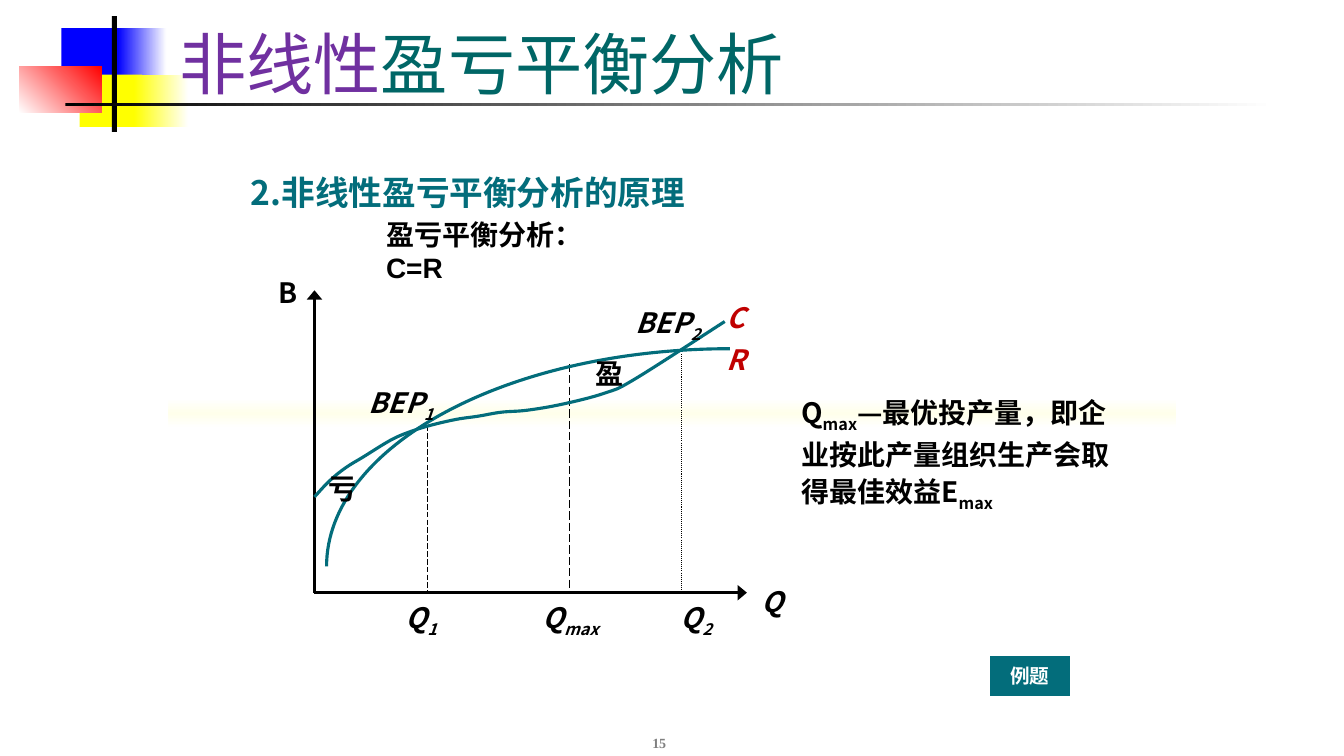
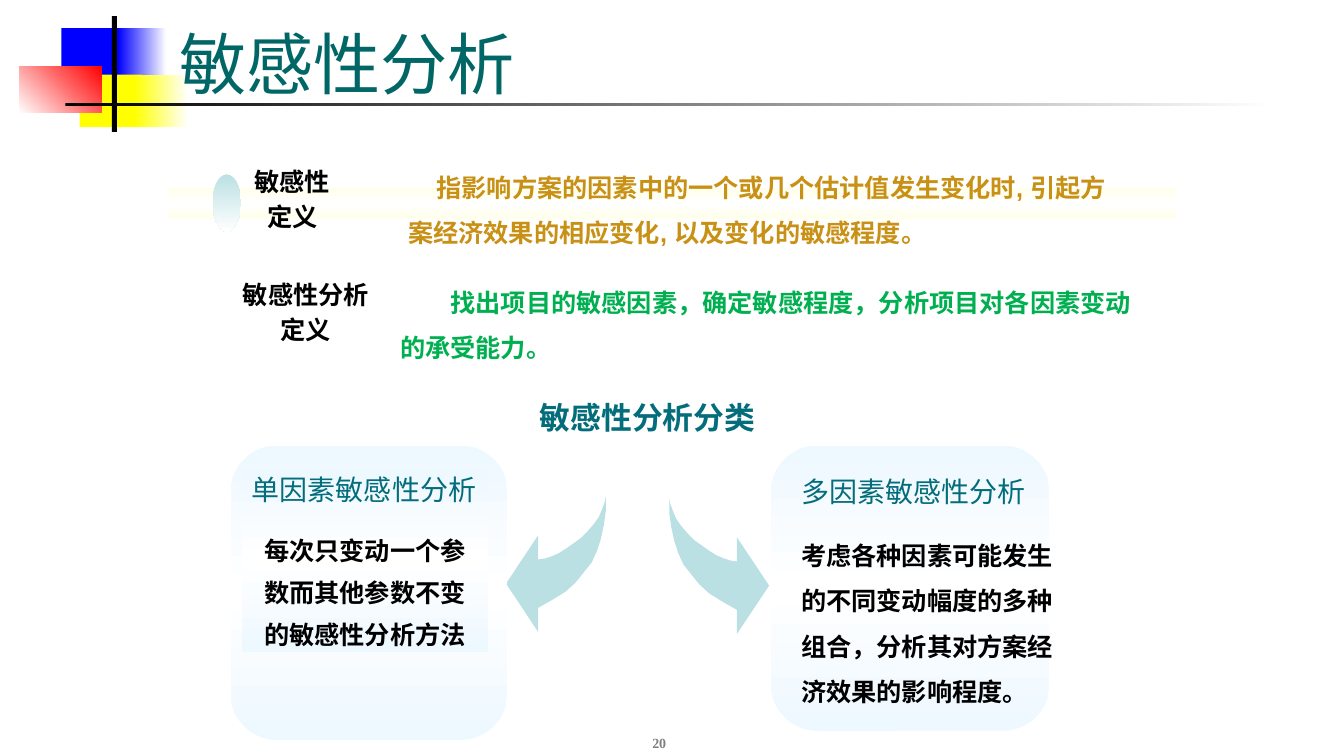
"""Two slides on break-even analysis and sensitivity analysis."""
from lxml import etree
from pptx import Presentation
from pptx import util as u
from pptx.dml.color import RGBColor
from pptx.enum import dml, shapes, text
from pptx.oxml.ns import qn

THEME = {
    "ink": "000000", "white": "FFFFFF", "teal": "036D7B", "title": "006666",
    "purple": "7030A0", "red": "C00000", "gold": "C89014", "green": "00B050",
    "grey": "808080", "arrow": "BBE0E3", "ice": "EEF8FF", "cream": "FFFFEB",
    "blue": "0000FF", "yellow": "FFFF00", "bright": "FF0000",
    "sans": "Arial", "cjk": "Noto Sans CJK SC", "serif": "Times New Roman",
    "sizes": {"title": 48, "head": 24, "sub": 22, "label": 20, "body": 18,
              "button": 14, "page": 10},
    "leading": 1.2,
}
SIZE = (40 / 3, 7.5)
KIND = shapes.MSO_SHAPE
ALIGN = {"l": text.PP_ALIGN.LEFT, "c": text.PP_ALIGN.CENTER}
ANCHOR = {"t": text.MSO_ANCHOR.TOP, "m": text.MSO_ANCHOR.MIDDLE, "b": text.MSO_ANCHOR.BOTTOM}

DECOR = [
    ((0.61, 0.28, 0.64, 0.52), ["blue"], 0),
    ((1.17, 0.28, 0.48, 0.52), ["blue", "white"], 0),
    ((0.79, 0.74, 0.62, 0.52), ["yellow"], 0),
    ((1.33, 0.74, 0.54, 0.52), ["yellow", "white"], 0),
    ((0.19, 0.66, 0.82, 0.46), ["white", "bright"], 315),
    ((1.11, 0.16, 0.05, 1.15), ["ink"], 0),
    ((0.65, 1.02, 12, 0.03), ["ink", "white"], 0),
]

ORIGIN, AXIS_END = (3.12, 5.88), (7.41, 2.88)
COST = [(3.12, 4.93), (3.27, 4.77), (3.43, 4.64), (3.61, 4.53), (3.87, 4.37),
        (4.05, 4.29), (4.27, 4.22), (4.53, 4.16), (4.74, 4.13), (4.97, 4.09),
        (5.23, 4.07), (5.58, 4.01), (6, 3.9), (6.3, 3.76), (7.19, 3.19)]
REVENUE = [(7.24, 3.46), (5.03, 3.46), (3.24, 4.43), (3.24, 5.62)]
GUIDES = [(4.24, 4.22, 0.5, "LONG_DASH"), (5.65, 3.61, 0.75, "LONG_DASH"),
          (6.76, 3.51, 0.75, "ROUND_DOT")]
LABELS = [
    (6.05, 3.54, ["盈"], "ink", False), (3.4, 4.68, ["亏"], "ink", False),
    (2.86, 2.73, ["B"], "ink", False), (7.66, 5.8, ["Q"], "ink", True),
    (7.3, 2.98, ["C"], "red", True), (7.3, 3.4, ["R"], "red", True),
    (4.18, 6, ["Q", "1"], "ink", True), (5.66, 6, ["Q", "max"], "ink", True),
    (6.91, 6, ["Q", "2"], "ink", True), (3.98, 3.87, ["BEP", "1"], "ink", True),
    (6.63, 3.08, ["BEP", "2"], "ink", True),
]
QMAX_NOTE = ["Q", "max", "—最优投产量，即企业按此产量组织生产会取得最佳效益E", "max"]

DEFINITIONS = [
    ((2.35, 1.63, 1.1, 0.67), ["敏感性", "定义"], 0, "b"),
    ((2.29, 2.72, 1.49, 0.77), ["敏感性分析", "定义"], 0.1, "t"),
]
MEANINGS = [
    ((4.05, 1.58, 7.16, 0.85), "指影响方案的因素中的一个或几个估计值发生变化时, 引起方案经济效果的相应变化, 以及变化的敏感程度。",
     "gold", 0.28, 0, "m"),
    ((3.87, 2.65, 7.49, 0.96), "找出项目的敏感因素，确定敏感程度，分析项目对各因素变动的承受能力。",
     "green", 0.5, 0.1, "t"),
]
CARDS = [
    ((2.29, 4.42, 2.74, 2.92), (2.4, 4.64, 2.44, 1.83), True, "单因素敏感性分析",
     "每次只变动一个参数而其他参数不变的敏感性分析方法", "c", 1.4),
    ((7.65, 4.42, 2.76, 2.83), (7.85, 4.66, 2.76, 2.37), False, "多因素敏感性分析",
     "考虑各种因素可能发生的不同变动幅度的多种组合，分析其对方案经济效果的影响程度。", "l", 1.5),
]
ARROW = [(6.01, 4.92), (6.01, 5.07), (5.99, 5.21), (5.96, 5.35), (5.92, 5.47),
         (5.87, 5.58), (5.79, 5.68), (5.71, 5.78), (5.61, 5.87), (5.48, 5.95),
         (5.34, 6.03), (5.34, 6.27), (5.02, 5.79), (5.34, 5.31), (5.34, 5.55),
         (5.41, 5.54), (5.47, 5.52), (5.54, 5.49), (5.62, 5.44), (5.69, 5.39),
         (5.76, 5.34), (5.83, 5.27), (5.89, 5.2), (5.94, 5.13), (5.97, 5.06), (6, 4.98)]


def rgb(name):
    return RGBColor.from_string(THEME[name])


def paint(sp, colours, angle=0):
    sp.shadow.inherit = False
    sp.line.fill.background()
    if len(colours) == 1:
        sp.fill.solid()
        sp.fill.fore_color.rgb = rgb(colours[0])
        return
    sp.fill.gradient()
    sp.fill.gradient_angle = (360 - angle) % 360
    stops = next(sp._element.spPr.iter(qn("a:gsLst")))
    for old in list(stops):
        stops.remove(old)
    for i, colour in enumerate(colours):
        gs = etree.SubElement(stops, qn("a:gs"), pos=str(100000 * i // (len(colours) - 1)))
        etree.SubElement(gs, qn("a:srgbClr"), val=THEME[colour])


def box(s, at, colours, angle=0, kind=KIND.RECTANGLE):
    sp = s.shapes.add_shape(kind, *map(u.Inches, at))
    paint(sp, colours, angle)
    return sp


def para(parts, size="body", font="sans", colour="ink", bold=True, italic=False, **layout):
    runs = [p if isinstance(p, tuple) else (p, colour) for p in parts]
    return {"runs": runs, "size": THEME["sizes"][size], "font": THEME[font],
            "style": {"bold": bold, "italic": italic}, **layout}


def write(sp, paras, anchor="t", inset=0.0, wrap=True):
    tf = sp.text_frame
    frame = {"word_wrap": wrap, "vertical_anchor": ANCHOR[anchor],
             "margin_left": u.Inches(inset), "margin_right": u.Inches(inset),
             "margin_top": u.Inches(inset / 2), "margin_bottom": u.Inches(inset / 2)}
    for key, value in frame.items():
        setattr(tf, key, value)
    for i, item in enumerate(paras):
        p = tf.add_paragraph() if i else tf.paragraphs[0]
        leading = u.Pt(item["size"] * THEME["leading"] * item.get("spacing", 1))
        layout = {"alignment": ALIGN[item.get("align", "l")],
                  "line_spacing": item.get("ratio", leading),
                  "space_before": u.Pt(item.get("before", 0) if i else 0),
                  "space_after": u.Pt(item.get("after", 0))}
        for key, value in layout.items():
            setattr(p, key, value)
        if "indent" in item:
            p._p.get_or_add_pPr().set("indent", str(u.Inches(item["indent"])))
        for j, (words, colour) in enumerate(item["runs"]):
            r = p.add_run()
            r.text = words
            style = {"size": u.Pt(item["size"]), "name": item["font"], **item["style"]}
            for key, value in style.items():
                setattr(r.font, key, value)
            r.font.color.rgb = rgb(colour)
            rpr = r._r.get_or_add_rPr()
            etree.SubElement(rpr, qn("a:ea"), typeface=THEME["cjk"])
            if item.get("subs") and j % 2:
                rpr.set("baseline", "-25000")


def textbox(s, at, paras, **frame):
    write(s.shapes.add_textbox(*map(u.Inches, at)), paras, **frame)


def line(s, start, end, width, dash=None, arrow=False):
    sp = s.shapes.add_connector(shapes.MSO_CONNECTOR.STRAIGHT, *map(u.Inches, start + end))
    sp.line.color.rgb = rgb("ink")
    sp.line.width = u.Pt(width)
    if dash:
        sp.line.dash_style = getattr(dml.MSO_LINE, dash)
    if arrow:
        etree.SubElement(sp.line._get_or_add_ln(), qn("a:tailEnd"), type="triangle", w="lg")
    etree.SubElement(sp._element.spPr, qn("a:effectLst"))


def outline(s, points, close=False):
    emu = [(u.Inches(x), u.Inches(y)) for x, y in points]
    fb = s.shapes.build_freeform(*emu[0])
    fb.add_line_segments(emu[1:], close=close)
    return fb.convert_to_shape()


def curve(s, points):
    sp = outline(s, points)
    sp.shadow.inherit = False
    sp.fill.background()
    sp.line.color.rgb = rgb("teal")
    sp.line.width = u.Pt(2.25)
    path = next(sp._element.spPr.iter(qn("a:path")))
    steps = path.findall(qn("a:lnTo"))
    for k in range(0, len(steps), 3):
        bezier = etree.SubElement(path, qn("a:cubicBezTo"))
        for step in steps[k:k + 3]:
            bezier.append(step[0])
            path.remove(step)


def smooth(knots):
    padded = [knots[0], *knots, knots[-1]]
    points = [knots[0]]
    for a, b, c, d in zip(padded, padded[1:], padded[2:], padded[3:]):
        points += [tuple(q + (r - p) / 6 for p, q, r in zip(a, b, c)),
                   tuple(r - (v - q) / 6 for q, r, v in zip(b, c, d)), c]
    return points


def base_slide(prs, title, page):
    s = prs.slides.add_slide(prs.slide_layouts[6])
    for at, colours, angle in DECOR:
        box(s, at, colours, angle)
    textbox(s, (1.68, 0.15, 11.36, 0.92), [para(title, "title", "serif", "title", bold=False)],
            anchor="b", inset=0.1)
    textbox(s, (5.15, 7, 2.78, 0.5), [para([page], "page", "serif", "grey", align="c")],
            anchor="b", inset=0.1)
    return s


def break_even(prs):
    s = base_slide(prs, [("非线性", "purple"), "盈亏平衡分析"], "15")
    box(s, (1.67, 3.95, 10, 0.3), ["white", "cream", "white"], 90)
    line(s, ORIGIN, (AXIS_END[0], ORIGIN[1]), 2.25, arrow=True)
    line(s, ORIGIN, (ORIGIN[0], AXIS_END[1]), 2.25, arrow=True)
    for x, top, width, dash in GUIDES:
        line(s, (x, top), (x, ORIGIN[1]), width, dash)
    curve(s, smooth(COST))
    curve(s, REVENUE)
    for x, y, parts, colour, italic in LABELS:
        textbox(s, (x - 0.4, y, 0.8, 0.34),
                [para(parts, "label", "cjk", colour, italic=italic, align="c", subs=True)],
                wrap=False)
    textbox(s, (7.85, 3.83, 3.27, 1.4),
            [para(QMAX_NOTE, "label", "cjk", ratio=1.11, subs=True)], inset=0.1)
    textbox(s, (2.49, 1.71, 4.8, 0.4),
            [para(["2.非线性盈亏平衡分析的原理"], "head", "cjk", "teal")], anchor="b")
    textbox(s, (3.83, 2.15, 2.2, 0.67), [para(["盈亏平衡分析：C=R"], "label")], anchor="b")
    button = box(s, (9.82, 6.51, 0.79, 0.39), ["teal"], kind=KIND.ACTION_BUTTON_CUSTOM)
    write(button, [para(["例题"], "button", "cjk", "white", align="c")], anchor="m", inset=0.1)


def sensitivity(prs):
    s = base_slide(prs, ["敏感性分析"], "20")
    box(s, (1.67, 1.87, 10, 0.3), ["cream", "white", "cream"], 90)
    box(s, (2.11, 1.73, 0.28, 0.57), ["arrow", "white"], 90, KIND.OVAL)
    for at, lines, inset, anchor in DEFINITIONS:
        textbox(s, at, [para([t], align="c", before=3.6) for t in lines],
                anchor=anchor, inset=inset)
    for at, words, colour, indent, inset, anchor in MEANINGS:
        textbox(s, at, [para([words], colour=colour, indent=indent, spacing=1.5)],
                anchor=anchor, inset=inset)
    textbox(s, (5.01, 3.91, 2.83, 0.47),
            [para(["敏感性分析分类"], "sub", colour="teal", align="c")], inset=0.1)
    mirrored = [(12.65 - x, y + 0.02) for x, y in ARROW]
    for points in (ARROW, mirrored):
        paint(outline(s, points, close=True), ["arrow"])
    wash = ["ice", "white", "ice"]
    for card, inner, filled, head, body, align, spacing in CARDS:
        box(s, card, wash, 90, KIND.ROUNDED_RECTANGLE)
        if filled:
            box(s, inner, wash, 90)
        textbox(s, inner, [para([head], "label", colour="teal", bold=False, after=12),
                           para([body], align=align, spacing=spacing)], inset=0.1)


def main():
    prs = Presentation()
    prs.slide_width, prs.slide_height = map(u.Inches, SIZE)
    break_even(prs)
    sensitivity(prs)
    prs.save("out.pptx")


if __name__ == "__main__":
    main()
